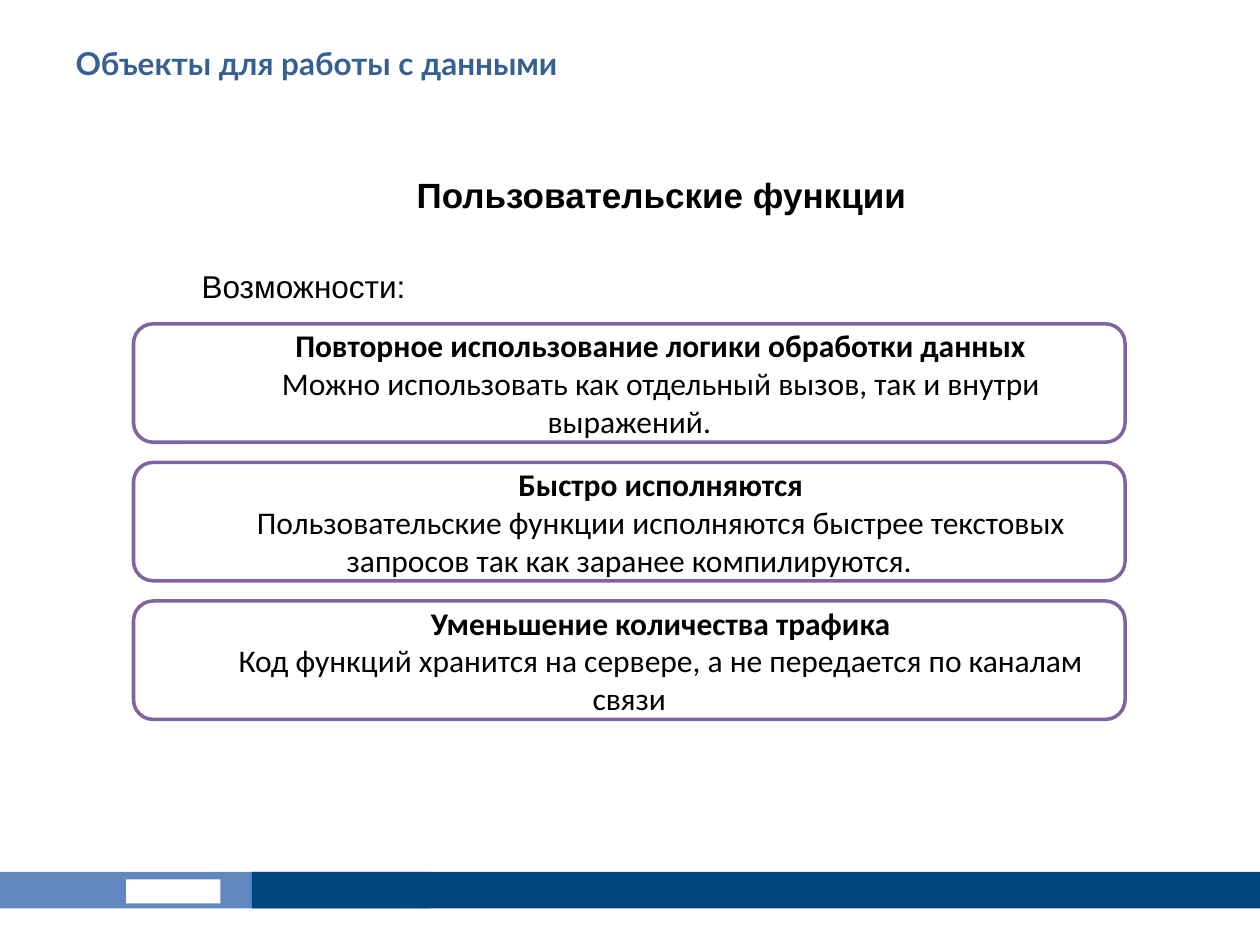
from pptx import Presentation
from pptx.dml.color import RGBColor
from pptx.enum.shapes import MSO_SHAPE as Shape
from pptx.enum.text import MSO_ANCHOR as Anchor, MSO_AUTO_SIZE as AutoSize, PP_ALIGN as Align
from pptx.oxml.xmlchemy import OxmlElement
from pptx.util import Inches, Pt

WHITE = RGBColor(0xFF, 0xFF, 0xFF)
BLACK = RGBColor(0x00, 0x00, 0x00)
TITLE_BLUE = RGBColor(0x37, 0x60, 0x92)
LIGHT_BLUE = RGBColor(0x60, 0x87, 0xBF)
DARK_BLUE = RGBColor(0x00, 0x46, 0x7E)
PURPLE = RGBColor(0x80, 0x64, 0xA2)


def add_block(kind, left, top, width, height, fill):
    block = page.shapes.add_shape(
        kind, Inches(left), Inches(top), Inches(width), Inches(height))
    block.shadow.inherit = False
    block.fill.solid()
    block.fill.fore_color.rgb = fill
    block.line.fill.background()
    return block


def write(para, text, color, align, indent, space, **font):
    para.alignment = align
    para.space_before = Pt(space)
    span = para.add_run()
    span.text = text
    span.font.color.rgb = color
    for name, value in font.items():
        setattr(span.font, name, value)
    # First-line indent without a bullet
    props = para._p.get_or_add_pPr()
    props.set("marL", "0")
    props.set("indent", str(Inches(indent)))
    props.append(OxmlElement("a:buNone"))


deck = Presentation()
deck.slide_width, deck.slide_height = Inches(10), Inches(7.5)
page = deck.slides.add_slide(deck.slide_layouts[1])
title, body = page.placeholders[0], page.placeholders[1]

# Footer band with a plain mark
add_block(Shape.RECTANGLE, 0, 6.92, 3.41, 0.29, LIGHT_BLUE)
add_block(Shape.RECTANGLE, 2, 6.92, 8, 0.29, DARK_BLUE)
add_block(Shape.RECTANGLE, 1, 6.98, 0.75, 0.19, WHITE)

# Title and body areas
for box, area in ((title, (0.5, 0.3, 9, 0.78)), (body, (1, 1.33, 8, 5.25))):
    box.left, box.top, box.width, box.height = map(Inches, area)
    box.text_frame.auto_size = AutoSize.NONE
    box.text_frame.vertical_anchor = Anchor.TOP

write(title.text_frame.paragraphs[0], "Объекты для работы с данными", TITLE_BLUE,
      Align.LEFT, 0, 0, name="Lato", size=Pt(18), bold=True)
write(body.text_frame.paragraphs[0], "Пользовательские функции", BLACK,
      Align.CENTER, 0.5, 4, name="Arial", size=Pt(20), bold=True)
write(body.text_frame.add_paragraph(), "Возможности:", BLACK,
      Align.JUSTIFY, 0.5, 29, name="Arial", size=Pt(18), bold=False)

# Feature boxes
features = [
    ("Повторное использование логики обработки данных",
     "Можно использовать как отдельный вызов, так и внутри выражений."),
    ("Быстро исполняются",
     "Пользовательские функции исполняются быстрее текстовых запросов "
     "так как заранее компилируются."),
    ("Уменьшение количества трафика",
     "Код функций хранится на сервере, а не передается по каналам связи"),
]
for row, (heading, detail) in enumerate(features):
    box = add_block(Shape.ROUNDED_RECTANGLE, 1.06, 2.57 + 1.1 * row, 7.87, 0.94, WHITE)
    box.line.color.rgb = PURPLE
    box.line.width = Pt(2)
    frame = box.text_frame
    frame.word_wrap = True
    frame.vertical_anchor = Anchor.MIDDLE
    for para, text, bold in ((frame.paragraphs[0], heading, True),
                             (frame.add_paragraph(), detail, False)):
        write(para, text, BLACK, Align.CENTER, 0.5, 0,
              name="Calibri", size=Pt(18), bold=bold)

deck.save("out.pptx")
